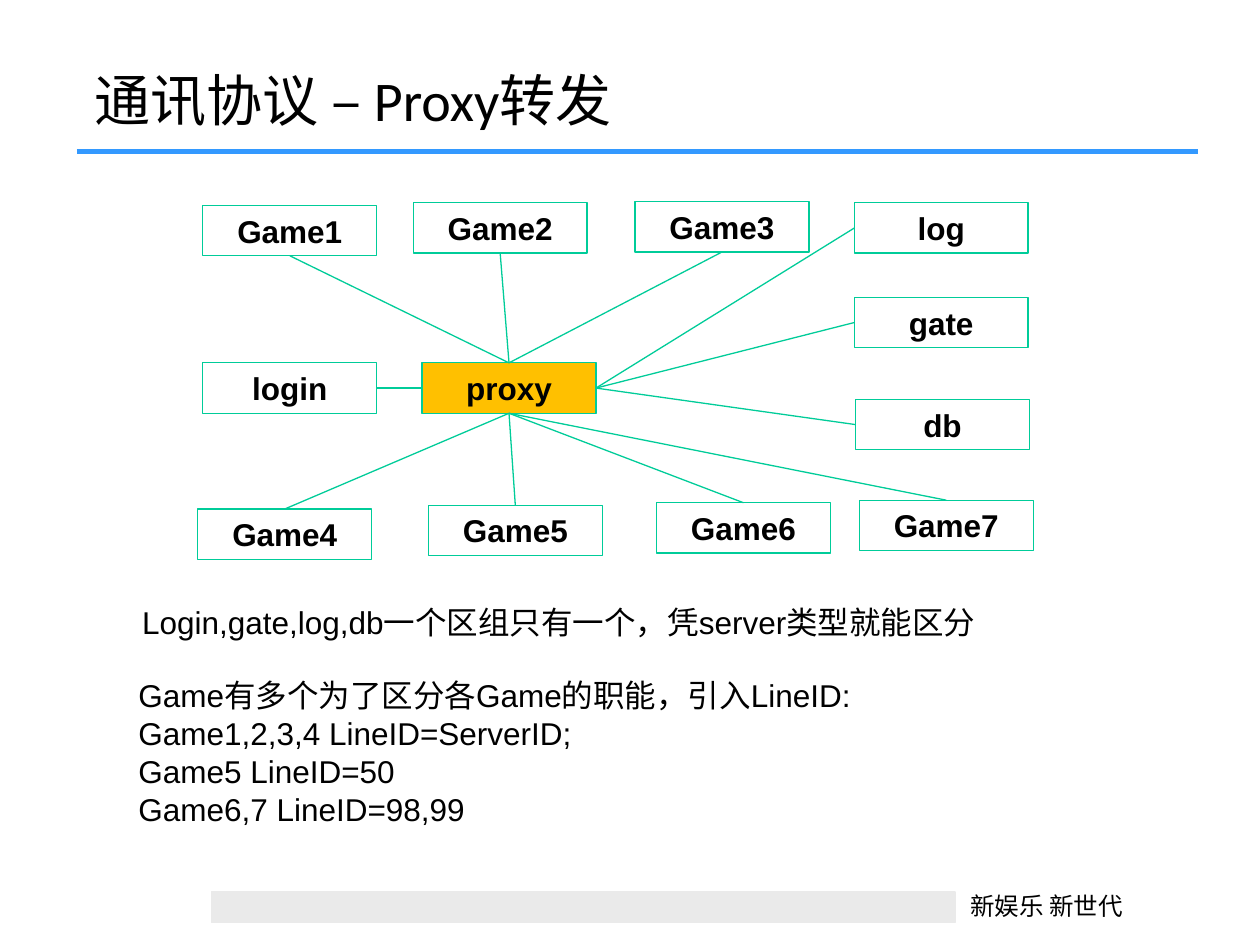
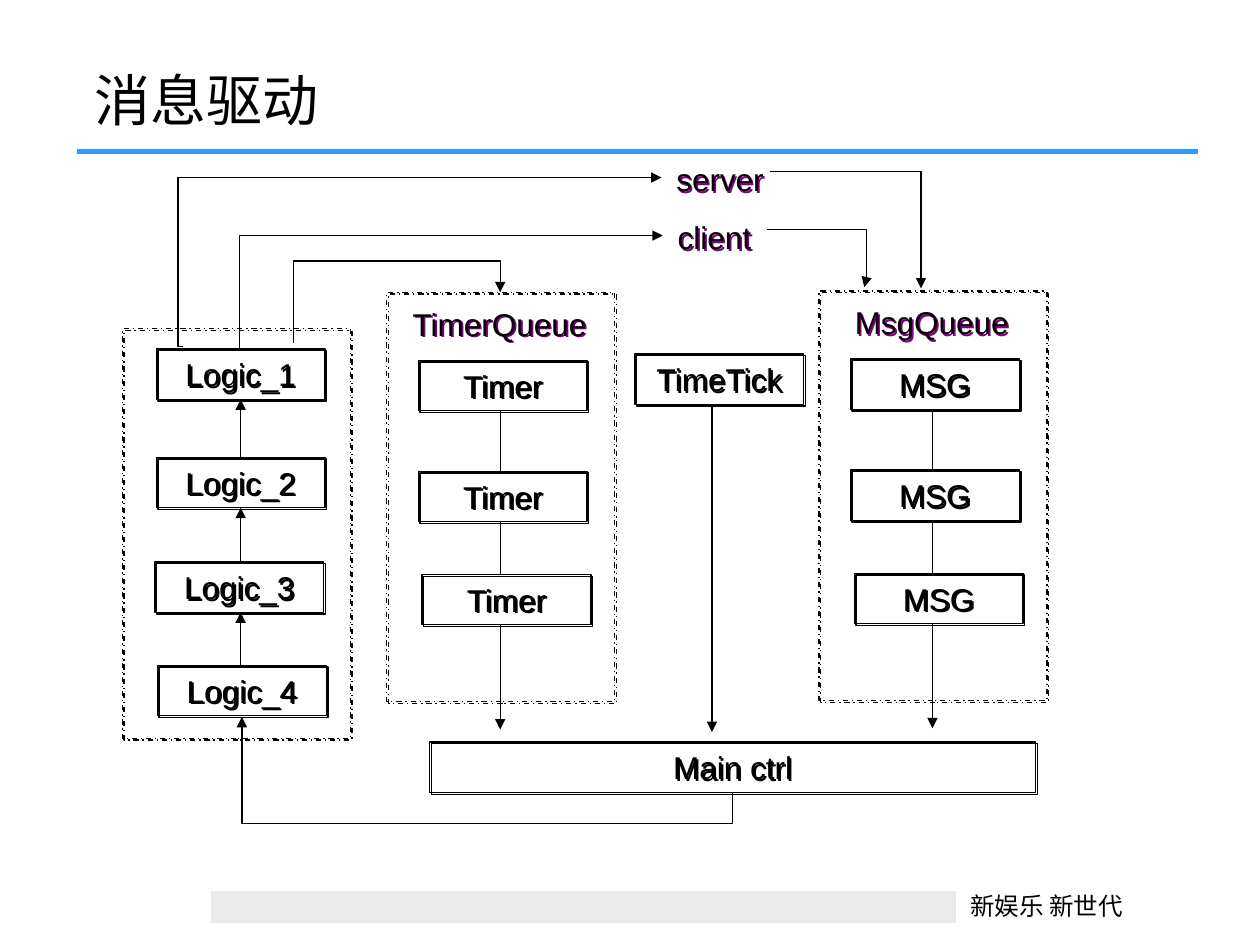
import dataclasses

import lxml.etree
import pptx
import pptx.dml.color
import pptx.enum.dml
import pptx.enum.shapes
import pptx.enum.text
import pptx.oxml.ns
import pptx.util

COLORS = {
    "text": "000000", "rule": "3399FF", "band": "EAEAEA",
    "link": "00CC99", "proxy": "FFC000", "label_shadow": "800080",
}
FONTS = {"title": "Calibri", "body": "Arial", "chinese": "Noto Sans CJK SC"}
COLUMNS, ROWS = 100, 75
SLIDE_WIDTH, SLIDE_HEIGHT = pptx.util.Inches(10), pptx.util.Inches(7.5)
BOX_HEIGHT = 4
NODE_WIDTH = 13.8
STEP_WIDTH = 13.4
PANEL_SIZE = (18.1, 32.5)


@dataclasses.dataclass
class Region:
    """A box on the slide, measured in grid columns and rows."""
    slide: object
    left: float
    top: float
    width: float
    height: float

    def area(self, column, row, width, height=BOX_HEIGHT):
        """Return a smaller box placed relative to this one."""
        return Region(self.slide, self.left + column, self.top + row, width, height)

    def point(self, column, row):
        """Return the slide position of a point inside this box."""
        return self.left + column, self.top + row

    def side(self, name):
        """Return the middle point of the named side."""
        across, down = {"top": (0.5, 0), "bottom": (0.5, 1),
                        "left": (0, 0.5), "right": (1, 0.5)}[name]
        return self.point(across * self.width, down * self.height)

    def frame(self):
        """Return left, top, width and height as lengths."""
        return (grid_x(self.left), grid_y(self.top),
                grid_x(self.width), grid_y(self.height))


def grid_x(columns):
    """Convert columns to a length."""
    return round(columns * SLIDE_WIDTH / COLUMNS)


def grid_y(rows):
    """Convert rows to a length."""
    return round(rows * SLIDE_HEIGHT / ROWS)


def rgb(name):
    """Return a named colour."""
    return pptx.dml.color.RGBColor.from_string(COLORS[name])


def add_element(parent, tag, **attributes):
    """Append a drawing element with attributes."""
    return lxml.etree.SubElement(parent, pptx.oxml.ns.qn(tag), **attributes)


def write(paragraph, text, size=18, font="body", bold=False):
    """Add one formatted run to a paragraph."""
    run = paragraph.add_run()
    run.text = text
    run.font.size = pptx.util.Pt(size)
    run.font.bold = bold
    run.font.name = FONTS[font]
    run.font.color.rgb = rgb("text")
    add_element(run._r.get_or_add_rPr(), "a:ea", typeface=FONTS["chinese"])


def add_shadow(shape, color):
    """Give a shape a hard shadow to the lower right."""
    shape.shadow.inherit = False
    effects = shape.element.spPr.find(pptx.oxml.ns.qn("a:effectLst"))
    shadow = add_element(effects, "a:outerShdw", dist=str(pptx.util.Pt(1.4)),
                         dir="2700000", algn="ctr", rotWithShape="0")
    add_element(shadow, "a:srgbClr", val=COLORS[color])


def add_box(region, text="", line="text", fill=None, bold=False, shadow=None, dashed=False):
    """Draw an outlined rectangle with centred text."""
    shape = region.slide.shapes.add_shape(
        pptx.enum.shapes.MSO_SHAPE.RECTANGLE, *region.frame())
    shape.shadow.inherit = False
    if fill:
        shape.fill.solid()
        shape.fill.fore_color.rgb = rgb(fill)
    else:
        shape.fill.background()
    shape.line.color.rgb = rgb(line)
    shape.line.width = pptx.util.Pt(0.75)
    if dashed:
        shape.line.dash_style = pptx.enum.dml.MSO_LINE.DASH_DOT
    if shadow:
        add_shadow(shape, shadow)
    if text:
        paragraph = shape.text_frame.paragraphs[0]
        paragraph.alignment = pptx.enum.text.PP_ALIGN.CENTER
        write(paragraph, text, bold=bold)
    return shape


def add_text(region, lines, centered=False, **style):
    """Place a text box with one paragraph per line."""
    shape = region.slide.shapes.add_textbox(*region.frame())
    shape.text_frame.word_wrap = True
    for index, line in enumerate(lines):
        paragraph = (shape.text_frame.add_paragraph() if index
                     else shape.text_frame.paragraphs[0])
        if centered:
            paragraph.alignment = pptx.enum.text.PP_ALIGN.CENTER
        write(paragraph, line, **style)
    return shape


def add_label(region, text):
    """Place a centred label with a coloured text shadow."""
    add_shadow(add_text(region, [text], centered=True), "label_shadow")


def add_line(slide, start, end, color="text", width=0.75, arrow=False, bend=None):
    """Connect two points, with an elbow at the given share if bend is set."""
    kinds = pptx.enum.shapes.MSO_CONNECTOR
    connector = slide.shapes.add_connector(
        kinds.STRAIGHT if bend is None else kinds.ELBOW,
        grid_x(start[0]), grid_y(start[1]), grid_x(end[0]), grid_y(end[1]))
    connector.line.color.rgb = rgb(color)
    connector.line.width = pptx.util.Pt(width)
    properties = connector.element.spPr
    add_element(properties, "a:effectLst")
    if arrow:
        add_element(properties.find(pptx.oxml.ns.qn("a:ln")), "a:tailEnd", type="triangle")
    if bend is not None:
        adjustments = properties.find(".//" + pptx.oxml.ns.qn("a:avLst"))
        add_element(adjustments, "a:gd", name="adj1", fmla=f"val {round(bend * 100000)}")
    return connector


def add_upward_elbow(slide, start, end, bend):
    """Draw an arrow that leaves and arrives vertically, ending above its start."""
    connector = add_line(slide, start, end, arrow=True, bend=bend)
    width, height = connector.width, connector.height
    connector.left += (width - height) // 2
    connector.top += (height - width) // 2
    connector.width, connector.height = height, width
    transform = connector.element.spPr.find(pptx.oxml.ns.qn("a:xfrm"))
    for flip in ("flipH", "flipV"):
        transform.attrib.pop(flip, None)
    transform.set("rot", str(270 * 60000))
    if end[0] < start[0]:
        transform.set("flipV", "1")


def prepare_layout(layout, slide):
    """Move the shared rule, band and slogan to the layout and place its title."""
    page = Region(slide, 0, 0, COLUMNS, ROWS)
    shared = [
        add_line(slide, page.point(6.1, 12), page.point(95.1, 12), "rule", 3),
        add_box(page.area(16.8, 70.8, 59, 2.4), line="band", fill="band"),
        add_text(page.area(76, 70.2, 14.8, 3.4), ["新娱乐 新世代"], size=14, font="chinese"),
    ]
    for shape in shared:
        layout.shapes.element.append(shape.element)
    title = layout.placeholders[0]
    title.left, title.top, title.width, title.height = page.area(6.5, 4.7, 87.5, 6.3).frame()


def set_title(slide, text):
    """Fill the title placeholder."""
    frame = slide.shapes.title.text_frame
    frame.vertical_anchor = pptx.enum.text.MSO_ANCHOR.BOTTOM
    frame.auto_size = pptx.enum.text.MSO_AUTO_SIZE.NONE
    paragraph = frame.paragraphs[0]
    paragraph.alignment = pptx.enum.text.PP_ALIGN.LEFT
    write(paragraph, text, size=32, font="title")


def draw_network(region):
    """Draw the proxy and the servers linked to its four sides."""
    opposite = {"top": "bottom", "bottom": "top", "left": "right", "right": "left"}
    servers = {
        "top": [("Game1", 0.4, 0.3), ("Game2", 17.1, 0.1), ("Game3", 34.7, 0)],
        "right": [("log", 52.1, 0.1), ("gate", 52.1, 7.6), ("db", 52.2, 15.7)],
        "left": [("login", 0.4, 12.8)],
        "bottom": [("Game4", 0, 24.4), ("Game5", 18.3, 24.1),
                   ("Game6", 36.4, 23.9), ("Game7", 52.5, 23.7)],
    }
    proxy = region.area(17.8, 12.8, NODE_WIDTH)
    add_box(proxy, "proxy", line="link", fill="proxy", bold=True)
    for side, nodes in servers.items():
        for name, column, row in nodes:
            node = region.area(column, row, NODE_WIDTH)
            add_box(node, name, line="link", bold=True)
            add_line(region.slide, proxy.side(side), node.side(opposite[side]), "link")


def draw_notes(region):
    """Write the explanation below the network."""
    add_text(region.area(0.3, 0, 74.4), ["Login,gate,log,db一个区组只有一个，凭server类型就能区分"])
    add_text(region.area(0, 5.8, 69.6, 13), [
        "Game有多个为了区分各Game的职能，引入LineID:",
        "Game1,2,3,4 LineID=ServerID;",
        "Game5 LineID=50",
        "Game6,7 LineID=98,99",
    ])


def draw_steps(region, names, places):
    """Draw a dashed panel with a column of boxes and return the boxes."""
    add_box(region, shadow="text", dashed=True)
    boxes = [region.area(column, row, STEP_WIDTH) for column, row in places]
    for box, name in zip(boxes, names):
        add_box(box, name, shadow="text")
    return boxes


def draw_queue(region, title, name):
    """Draw a queue whose items flow down and out of the panel."""
    add_label(region.area(0, 0.5, 17.9), title)
    boxes = draw_steps(region, [name] * 3, [(2.5, 5.4), (2.5, 14.2), (2.8, 22.4)])
    middle = region.left + 9
    for upper, lower in zip(boxes, boxes[1:]):
        add_line(region.slide, (middle, upper.top + BOX_HEIGHT), (middle, lower.top))
    add_line(region.slide, (middle, boxes[-1].top + BOX_HEIGHT),
             region.point(9, 34.7), arrow=True)


def draw_logic(region):
    """Draw the logic chain, which runs upwards."""
    boxes = draw_steps(region, [f"Logic_{number}" for number in range(1, 5)],
                       [(2.7, 1.6), (2.7, 10.2), (2.6, 18.5), (2.8, 26.7)])
    middle = region.left + 9.4
    for upper, lower in zip(boxes, boxes[1:]):
        add_line(region.slide, (middle, lower.top),
                 (middle, upper.top + BOX_HEIGHT), arrow=True)


def draw_message_flow(region):
    """Draw the panels, the main control and the arrows between them."""
    slide = region.slide
    draw_logic(region.area(0, 13.9, *PANEL_SIZE))
    draw_queue(region.area(21, 11, *PANEL_SIZE), "TimerQueue", "Timer")
    draw_queue(region.area(55.3, 10.9, *PANEL_SIZE), "MsgQueue", "MSG")
    add_label(region.area(42.8, 0, 9.3), "server")
    add_label(region.area(42.9, 4.6, 8.2), "client")
    tick = region.area(40.7, 15.9, STEP_WIDTH)
    add_box(tick, "TimeTick", shadow="text")
    add_line(slide, region.point(46.8, 19.9), region.point(46.8, 45.9), arrow=True)
    control = region.area(24.4, 46.7, 48.1)
    add_box(control, "Main ctrl", shadow="text")
    add_upward_elbow(slide, control.side("bottom"), region.point(9.5, 44.7), -0.41)
    add_upward_elbow(slide, region.point(13.6, 15), region.point(30, 11), 1.62)
    for start, end, bend in [
        ((4.8, 15.3), (42.8, 1.9), -0.01),
        ((9.3, 15.5), (42.9, 6.5), 0),
        ((51.2, 6), (58.9, 10.6), 1.02),
        ((51.4, 1.4), (63.4, 10.7), 1),
    ]:
        add_line(slide, region.point(*start), region.point(*end), arrow=True, bend=bend)


def main():
    """Build and save the two slides."""
    presentation = pptx.Presentation()
    presentation.slide_width, presentation.slide_height = SLIDE_WIDTH, SLIDE_HEIGHT
    layout = presentation.slide_layouts[5]
    proxy_slide, message_slide = [presentation.slides.add_slide(layout) for _ in range(2)]
    prepare_layout(layout, proxy_slide)
    set_title(proxy_slide, "通讯协议 – Proxy转发")
    draw_network(Region(proxy_slide, 15.7, 16, 66.3, 28.4))
    draw_notes(Region(proxy_slide, 10, 47.4, 74.7, 18.8))
    set_title(message_slide, "消息驱动")
    draw_message_flow(Region(message_slide, 9.7, 12.2, 73.4, 53.2))
    presentation.save("out.pptx")


if __name__ == "__main__":
    main()
